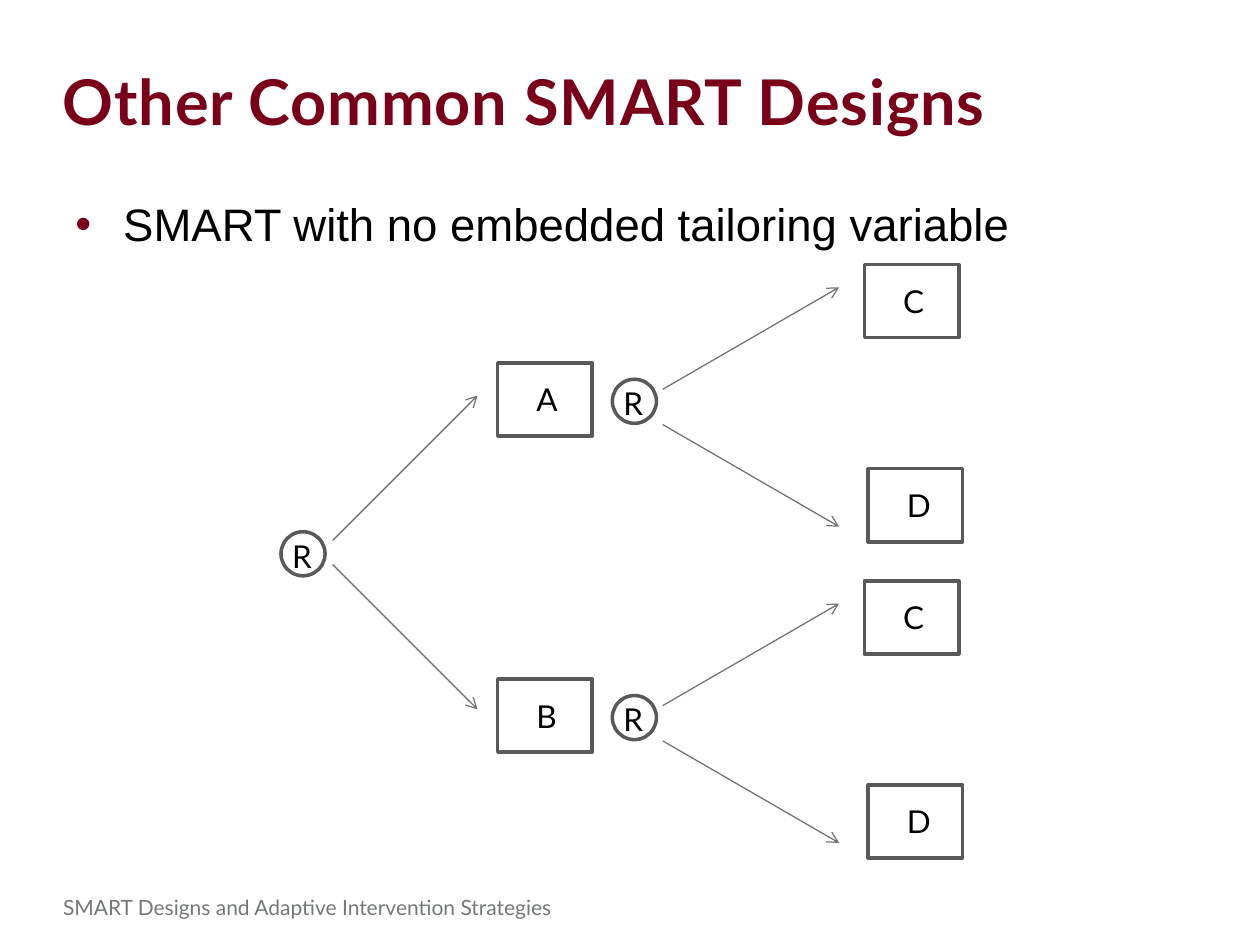
from lxml.etree import SubElement
from pptx import Presentation
from pptx.dml.color import RGBColor
from pptx.enum.shapes import MSO_CONNECTOR as LINE, MSO_SHAPE as SHAPE
from pptx.enum.text import MSO_AUTO_SIZE as FIT
from pptx.oxml.ns import qn
from pptx.util import Inches, Pt

COLORS = {"maroon": "7A0019", "black": "000000", "footer": "75787B",
          "outline": "57595B", "arrow": "727578"}
FORMATS = {
    "title": {"name": "Lato", "size": Pt(36), "bold": True},
    "body": {"name": "Arial", "size": Pt(26)},
    "label": {"name": "Lato", "size": Pt(18)},
    "footer": {"name": "Lato", "size": Pt(12)},
}
BOX_WIDTH, BOX_HEIGHT, CIRCLE = 0.75, 0.58, 0.35
ARM_STEP = 2.51


def color(name):
    return RGBColor.from_string(COLORS[name])


def add_text(page, text, area, style, ink, inset=True):
    box = page.shapes.add_textbox(*map(Inches, area))
    frame = box.text_frame
    frame.word_wrap = True
    if not inset:
        for side in ("left", "right", "top", "bottom"):
            setattr(frame, f"margin_{side}", 0)
    para = frame.paragraphs[0]
    span = para.add_run()
    span.text = text
    for key, value in FORMATS[style].items():
        setattr(span.font, key, value)
    span.font.color.rgb = color(ink)
    return box


def add_bullet(para):
    props = para._p.get_or_add_pPr()
    props.set("marL", str(Inches(0.38)))
    props.set("indent", str(Inches(-0.38)))
    tint = SubElement(props, qn("a:buClr"))
    SubElement(tint, qn("a:srgbClr"), val=COLORS["maroon"])
    SubElement(props, qn("a:buFont"), typeface="Arial")
    SubElement(props, qn("a:buChar"), char="•")


def add_outline(page, kind, left, top, width, height):
    shape = page.shapes.add_shape(kind, *map(Inches, (left, top, width, height)))
    shape.shadow.inherit = False
    shape.fill.background()
    shape.line.color.rgb = color("outline")
    shape.line.width = Pt(2)


def add_label(page, letter, left, top, width):
    box = add_text(page, letter, (left, top, width, 0.4), "label", "black")
    box.text_frame.auto_size = FIT.SHAPE_TO_FIT_TEXT


def add_treatment(page, letter, left, top):
    add_outline(page, SHAPE.RECTANGLE, left, top, BOX_WIDTH, BOX_HEIGHT)
    add_label(page, letter, left + 0.21, top + 0.09, 0.33)


def add_randomization(page, left, top):
    add_outline(page, SHAPE.OVAL, left, top, CIRCLE, CIRCLE)
    add_label(page, "R", left - 0.01, top - 0.01, 0.36)


def add_arrow(page, start, end):
    arrow = page.shapes.add_connector(LINE.STRAIGHT, *map(Inches, start + end))
    arrow.line.color.rgb = color("arrow")
    arrow.line.width = Pt(0.75)
    SubElement(arrow.line._get_or_add_ln(), qn("a:tailEnd"), type="arrow")
    SubElement(arrow._element.spPr, qn("a:effectLst"))


def add_fork(page, left, right, middle, gap, rise):
    for sign in (-1, 1):
        start = middle + sign * gap / 2
        add_arrow(page, (left, start), (right, start + sign * rise))


def add_arm(page, letter, top):
    add_treatment(page, letter, 3.95, top)
    add_randomization(page, 4.86, top + 0.13)
    add_fork(page, 5.26, 6.66, top + 0.35, 0.28, 0.81)
    add_treatment(page, "C", 6.86, top - 0.78)
    add_treatment(page, "D", 6.89, top + 0.84)


def main():
    deck = Presentation()
    deck.slide_width, deck.slide_height = Inches(10), Inches(7.5)
    page = deck.slides.add_slide(deck.slide_layouts[6])

    title = add_text(page, "Other Common SMART Designs", (0.5, 0.5, 9, 0.76),
                     "title", "maroon", inset=False)
    title.text_frame.paragraphs[0].runs[0].font._element.set("spc", "50")
    body = add_text(page, "SMART with no embedded tailoring variable",
                    (0.5, 1.51, 9, 5), "body", "black")
    add_bullet(body.text_frame.paragraphs[0])
    add_text(page, "SMART Designs and Adaptive Intervention Strategies",
             (0.5, 7.1, 6.68, 0.31), "footer", "footer", inset=False)

    add_randomization(page, 2.23, 4.22)
    add_fork(page, 2.64, 3.79, 4.385, 0.19, 1.15)
    for index, letter in enumerate("AB"):
        add_arm(page, letter, 2.88 + index * ARM_STEP)

    deck.save("out.pptx")


if __name__ == "__main__":
    main()
